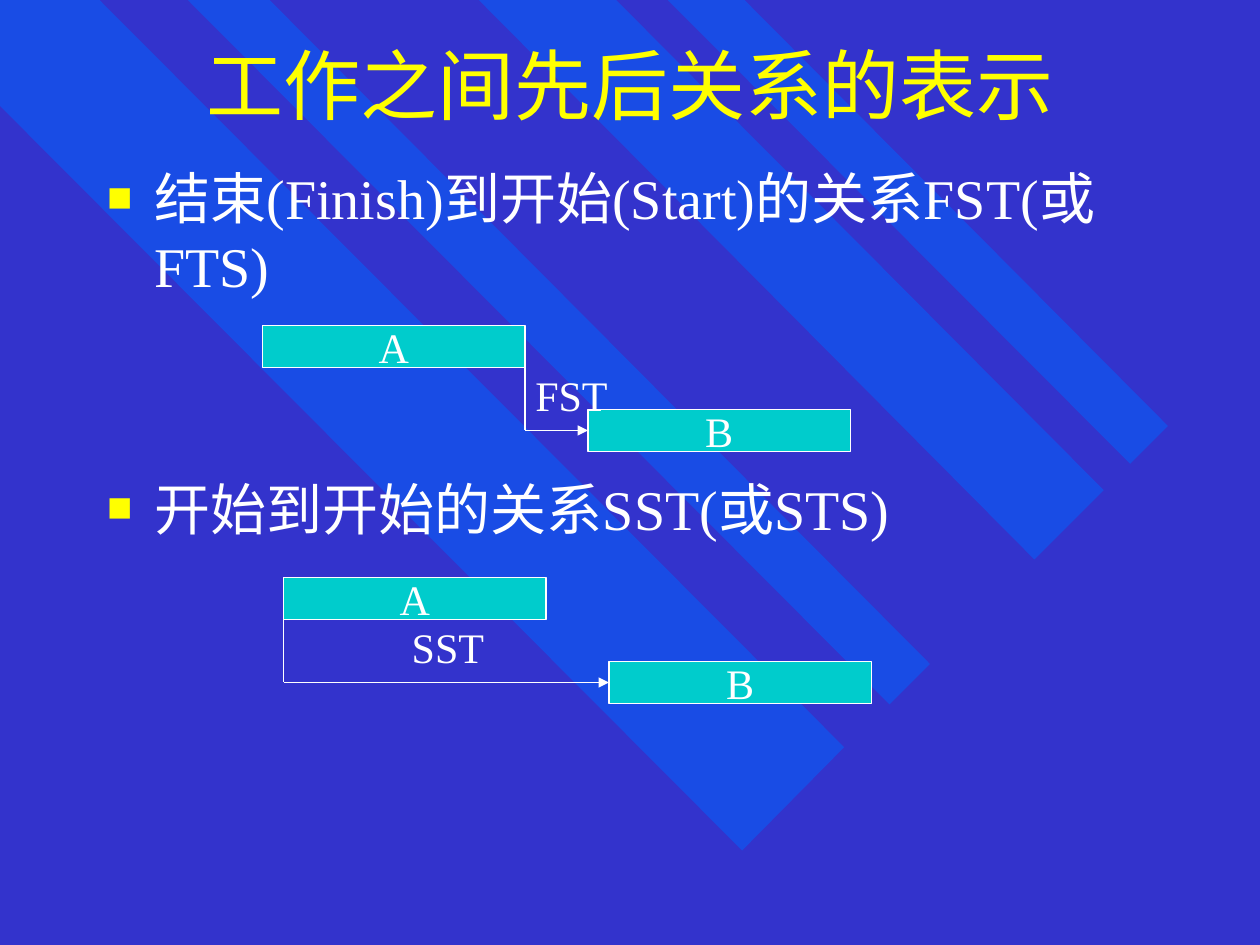
from dataclasses import dataclass

from lxml import etree
from pptx import Presentation
from pptx.dml.color import RGBColor
from pptx.enum.shapes import MSO_CONNECTOR, MSO_SHAPE
from pptx.enum.text import MSO_ANCHOR, MSO_AUTO_SIZE, PP_ALIGN
from pptx.oxml.ns import qn
from pptx.util import Pt

STRAIGHT = MSO_CONNECTOR.STRAIGHT
RECTANGLE = MSO_SHAPE.RECTANGLE
TOP, MIDDLE = MSO_ANCHOR.TOP, MSO_ANCHOR.MIDDLE
LEFT, CENTER = PP_ALIGN.LEFT, PP_ALIGN.CENTER
NO_AUTOSIZE = MSO_AUTO_SIZE.NONE
FIT_SHAPE = MSO_AUTO_SIZE.SHAPE_TO_FIT_TEXT


@dataclass(frozen=True)
class Theme:
    font: str = "Times New Roman"
    background: str = "3333CC"
    band: str = "0066FF"
    accent: str = "FFFF00"
    text: str = "FFFFFF"
    bar: str = "00CCCC"
    title_size: int = 44
    body_size: int = 32
    label_size: int = 24


BANDS = [
    [(482.4, 427), (56.9, 0), (0, 0), (0, 60.5), (424.1, 486)],
    [(154.1, 0), (531.4, 379.4), (508.3, 402.5), (107.3, 0)],
    [(352.1, 0), (630.7, 280.1), (591.1, 319.7), (273.6, 0)],
    [(381.6, 0), (645.8, 265), (667.4, 243.4), (425.5, 0)],
]
BULLETS = [
    ("结束(Finish)到开始(Start)的关系FST(或FTS)", 0),
    ("开始到开始的关系SST(或STS)", 100.6),
]
BAR_WIDTH, BAR_HEIGHT = 150, 24
STEP_X, STEP_Y = 186, 48
LABEL_WIDTH, LABEL_HEIGHT = 56, 36
LABEL_DROP = 21.6


def rgb(color):
    return RGBColor.from_string(color)


def add_child(parent, tag, **attributes):
    return etree.SubElement(parent, qn(tag), attributes)


def write(paragraph, text, *, font, size, color, align=LEFT, before=0):
    paragraph.text = text
    paragraph.alignment = align
    paragraph.space_before = Pt(before)
    paragraph.font.name = font
    paragraph.font.size = Pt(size)
    paragraph.font.color.rgb = rgb(color)


class Board:
    def __init__(self, slide, theme):
        self.slide = slide
        self.theme = theme
        fill = slide.background.fill
        fill.solid()
        fill.fore_color.rgb = rgb(theme.background)

    def band(self, points):
        start, *corners = [(Pt(x), Pt(y)) for x, y in points]
        builder = self.slide.shapes.build_freeform(*start, scale=1.0)
        builder.add_line_segments(corners, close=True)
        band = builder.convert_to_shape()
        band.shadow.inherit = False
        band.line.fill.background()
        band.fill.solid()
        band.fill.fore_color.rgb = rgb(self.theme.band)
        color = band.element.find(".//" + qn("a:srgbClr"))
        add_child(color, "a:alpha", val="50000")
        self.slide.shapes.title.element.addprevious(band.element)

    def place(self, placeholder, x, y, width, height, anchor):
        placeholder.left, placeholder.top = Pt(x), Pt(y)
        placeholder.width, placeholder.height = Pt(width), Pt(height)
        frame = placeholder.text_frame
        frame.auto_size = NO_AUTOSIZE
        frame.vertical_anchor = anchor
        return frame

    def title(self, text):
        frame = self.place(self.slide.shapes.title, 54, 0, 612, 96, MIDDLE)
        write(frame.paragraphs[0], text, font=self.theme.font,
              size=self.theme.title_size, color=self.theme.accent, align=CENTER)

    def bullets(self, items):
        frame = self.place(self.slide.placeholders[1], 54, 90, 612, 390, TOP)
        for index, (text, before) in enumerate(items):
            paragraph = frame.add_paragraph() if index else frame.paragraphs[0]
            self.bullet(paragraph)
            write(paragraph, text, font=self.theme.font, before=before,
                  size=self.theme.body_size, color=self.theme.text)

    def bullet(self, paragraph):
        properties = paragraph._p.get_or_add_pPr()
        properties.set("marL", str(Pt(27)))
        properties.set("indent", str(Pt(-27)))
        color = add_child(properties, "a:buClr")
        add_child(color, "a:srgbClr", val=self.theme.accent)
        add_child(properties, "a:buSzPct", val="75000")
        add_child(properties, "a:buFont", typeface=self.theme.font)
        add_child(properties, "a:buChar", char="■")

    def bar(self, text, x, y):
        bar = self.slide.shapes.add_shape(
            RECTANGLE, Pt(x), Pt(y), Pt(BAR_WIDTH), Pt(BAR_HEIGHT))
        bar.shadow.inherit = False
        bar.fill.solid()
        bar.fill.fore_color.rgb = rgb(self.theme.bar)
        bar.line.color.rgb = rgb(self.theme.text)
        bar.line.width = Pt(1)
        frame = bar.text_frame
        frame.word_wrap = False
        frame.vertical_anchor = MIDDLE
        write(frame.paragraphs[0], text, font=self.theme.font,
              size=self.theme.label_size, color=self.theme.text, align=CENTER)

    def line(self, start, end, arrow=False):
        ends = [Pt(value) for value in (*start, *end)]
        line = self.slide.shapes.add_connector(STRAIGHT, *ends)
        line.line.color.rgb = rgb(self.theme.text)
        line.line.width = Pt(1)
        if arrow:
            add_child(line.line._get_or_add_ln(), "a:tailEnd", type="triangle")
        add_child(line.element.spPr, "a:effectLst")

    def label(self, text, x, y):
        box = self.slide.shapes.add_textbox(
            Pt(x), Pt(y), Pt(LABEL_WIDTH), Pt(LABEL_HEIGHT))
        frame = box.text_frame
        frame.word_wrap = False
        frame.auto_size = FIT_SHAPE
        write(frame.paragraphs[0], text, font=self.theme.font,
              size=self.theme.label_size, color=self.theme.text)

    def relation(self, name, x, y, link_x, label_x):
        middle = y + BAR_HEIGHT / 2
        corner = (link_x, middle + STEP_Y)
        self.bar("A", x, y)
        self.bar("B", x + STEP_X, y + STEP_Y)
        self.line((link_x, middle), corner)
        self.line(corner, (x + STEP_X, middle + STEP_Y), arrow=True)
        self.label(name, label_x, y + LABEL_DROP)


def main():
    presentation = Presentation()
    presentation.slide_width, presentation.slide_height = Pt(720), Pt(540)
    slide = presentation.slides.add_slide(presentation.slide_layouts[1])
    board = Board(slide, Theme())
    for points in BANDS:
        board.band(points)
    board.title("工作之间先后关系的表示")
    board.bullets(BULLETS)
    board.relation("FST", 150, 186, link_x=150 + BAR_WIDTH, label_x=298.8)
    board.relation("SST", 162, 330, link_x=162, label_x=228.2)
    presentation.save("out.pptx")


if __name__ == "__main__":
    main()
